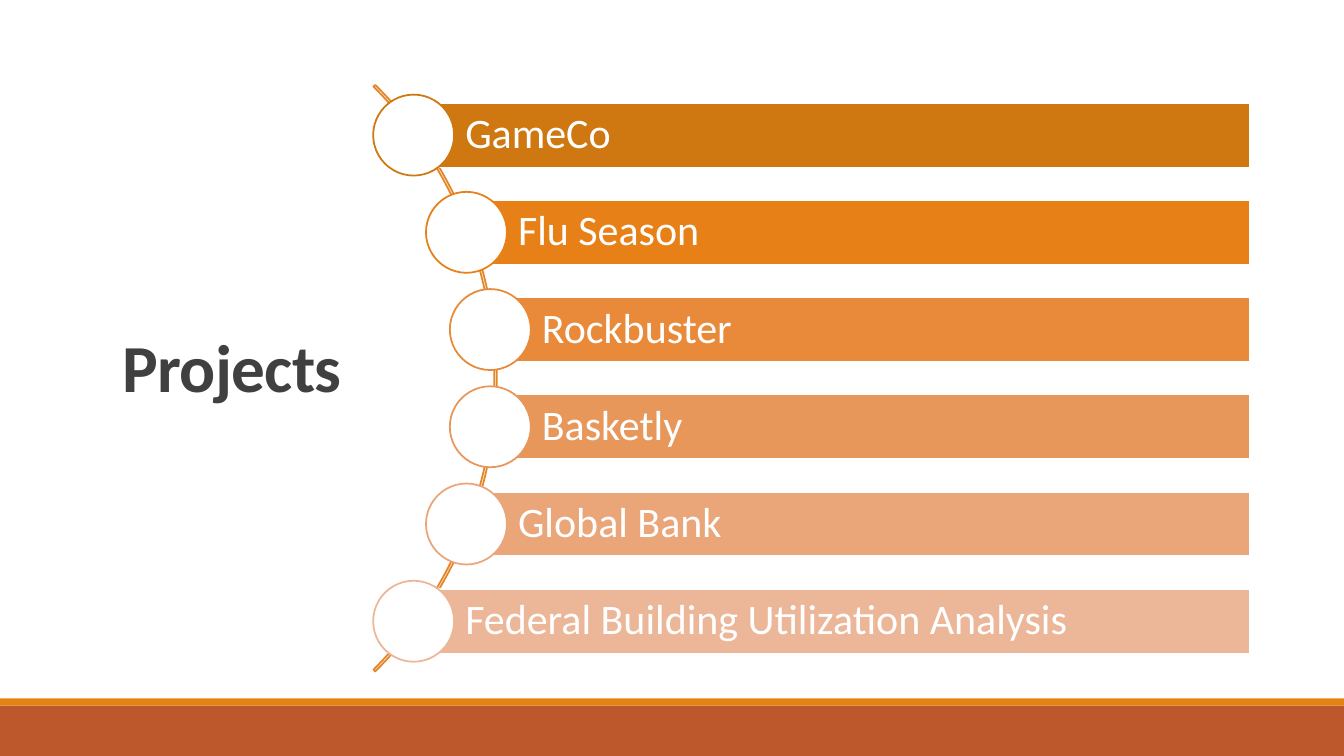
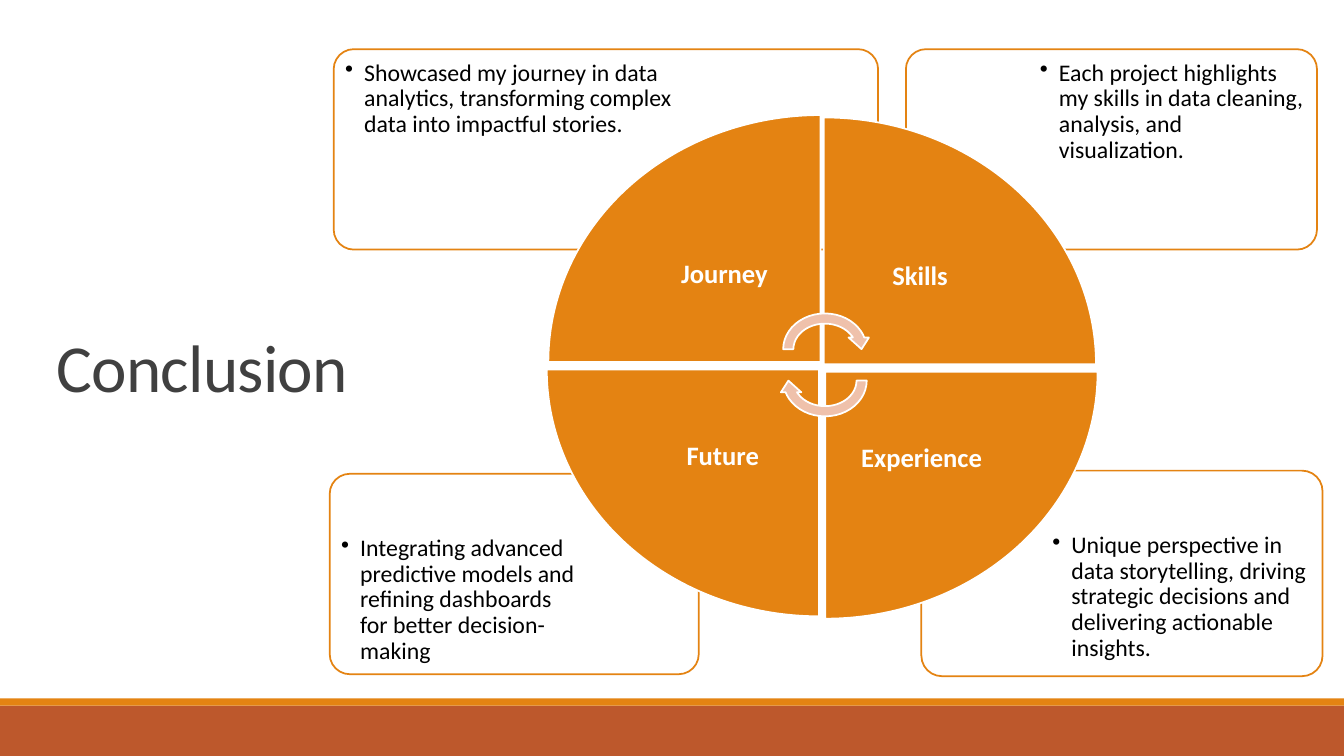
from math import sqrt

from lxml import etree
from pptx import Presentation
from pptx.dml.color import RGBColor
from pptx.enum.shapes import MSO_SHAPE
from pptx.enum.text import MSO_ANCHOR, PP_ALIGN
from pptx.oxml.ns import qn
from pptx.util import Cm, Pt

RECTANGLE = MSO_SHAPE.RECTANGLE
ROUNDED = MSO_SHAPE.ROUNDED_RECTANGLE
OVAL = MSO_SHAPE.OVAL
BLOCK_ARC = MSO_SHAPE.BLOCK_ARC
WEDGE = MSO_SHAPE.PIE_WEDGE
CIRCULAR_ARROW = MSO_SHAPE.CIRCULAR_ARROW
TOP, MIDDLE, BOTTOM = MSO_ANCHOR.TOP, MSO_ANCHOR.MIDDLE, MSO_ANCHOR.BOTTOM
LEFT, CENTER = PP_ALIGN.LEFT, PP_ALIGN.CENTER

WHITE = RGBColor(0xFF, 0xFF, 0xFF)
BLACK = RGBColor(0x00, 0x00, 0x00)
CHARCOAL = RGBColor(0x40, 0x40, 0x40)
ORANGE = RGBColor(0xE4, 0x83, 0x12)
ARC_ORANGE = RGBColor(0xE4, 0x85, 0x26)
RUST = RGBColor(0xBD, 0x58, 0x2C)
PEACH = RGBColor(0xEF, 0xC1, 0xAB)

FONT = "Calibri"
SLIDE_WIDTH, SLIDE_HEIGHT = 33.87, 19.05

PROJECTS = [
    ("GameCo", RGBColor(0xCF, 0x77, 0x10)),
    ("Flu Season", RGBColor(0xE8, 0x80, 0x18)),
    ("Rockbuster", RGBColor(0xE8, 0x8A, 0x39)),
    ("Basketly", RGBColor(0xE8, 0x97, 0x5A)),
    ("Global Bank", RGBColor(0xEA, 0xA5, 0x79)),
    ("Federal Building Utilization Analysis", RGBColor(0xEC, 0xB6, 0x98)),
]

CARD_EDGE = 0.14
CARD_LOW = 1.42
CARDS = [
    ((23.22, 11.86, 10.11, 5.18), (3.15, CARD_LOW, CARD_EDGE),
     "Unique perspective in data storytelling, driving strategic decisions "
     "and delivering actionable insights."),
    ((8.31, 11.94, 9.3, 5.05), (CARD_EDGE, CARD_LOW, 2.92),
     "Integrating advanced predictive models and refining dashboards for "
     "better decision-making"),
    ((22.83, 1.24, 10.36, 5.05), (3.23, CARD_EDGE, CARD_EDGE),
     "Each project highlights my skills in data cleaning, analysis, and "
     "visualization."),
    ((8.41, 1.24, 13.72, 5.05), (CARD_EDGE, CARD_EDGE, 4.24),
     "Showcased my journey in data analytics, transforming complex data "
     "into impactful stories."),
]

WEDGE_WIDTH, WEDGE_HEIGHT = 6.86, 6.22
LABEL_WIDTH, LABEL_HEIGHT = 4.85, 4.39
QUARTERS = [
    ("Journey", 13.82, 2.9),
    ("Skills", 20.76, 2.96),
    ("Experience", 20.8, 9.37),
    ("Future", 13.78, 9.31),
]


class Deck:
    def __init__(self):
        self.presentation = Presentation()
        self.presentation.slide_width = Cm(SLIDE_WIDTH)
        self.presentation.slide_height = Cm(SLIDE_HEIGHT)
        self.slide = None

    def new_slide(self, title, title_left):
        layout = self.presentation.slide_layouts[6]
        self.slide = self.presentation.slides.add_slide(layout)
        self.shape(RECTANGLE, (0, 17.78, SLIDE_WIDTH, 1.27), RUST)
        self.shape(RECTANGLE, (0, 17.6, SLIDE_WIDTH, 0.18), ORANGE)
        return self.title(title, title_left)

    def title(self, text, left):
        heading = self.label((left, 7.24, 8.23, 3.12), text, 48, CHARCOAL,
                             anchor=BOTTOM, spacing=0.85)
        heading._p.pPr.find(qn("a:defRPr")).set("spc", "-50")
        return heading

    def shape(self, kind, box, fill=None, line=None, rotation=0):
        shape = self.slide.shapes.add_shape(kind, *map(Cm, box))
        shape.shadow.inherit = False
        shape.rotation = rotation
        if fill is None:
            shape.fill.background()
        else:
            shape.fill.solid()
            shape.fill.fore_color.rgb = fill
        if line is None:
            shape.line.fill.background()
        else:
            shape.line.color.rgb = line
            shape.line.width = Pt(1.25)
        return shape

    def set_text(self, shape, text, size, color,
                 margins=(0.25, 0.13, 0.25, 0.13), anchor=MIDDLE,
                 align=LEFT, spacing=0.9, bullet=False):
        frame = shape.text_frame
        frame.word_wrap = True
        frame.vertical_anchor = anchor
        (frame.margin_left, frame.margin_top,
         frame.margin_right, frame.margin_bottom) = map(Cm, margins)
        paragraph = frame.paragraphs[0]
        paragraph.text = text
        paragraph.alignment = align
        paragraph.line_spacing = spacing
        if bullet:
            properties = paragraph._p.get_or_add_pPr()
            properties.set("marL", str(Cm(0.48)))
            properties.set("indent", str(-Cm(0.48)))
            etree.SubElement(properties, qn("a:buChar")).set("char", "•")
        paragraph.font.name = FONT
        paragraph.font.size = Pt(size)
        paragraph.font.color.rgb = color
        return paragraph

    def label(self, box, text, size, color, **style):
        textbox = self.slide.shapes.add_textbox(*map(Cm, box))
        return self.set_text(textbox, text, size, color, **style)

    def arc(self, center_x, center_y, radius):
        box = (center_x - radius, center_y - radius, 2 * radius, 2 * radius)
        arc = self.shape(BLOCK_ARC, box, line=ARC_ORANGE)
        for index, value in enumerate((189, 27, 0.003)):
            arc.adjustments[index] = value

    def project(self, name, color, x, y):
        right, height, diameter = 31.5, 1.63, 2.04
        bar = self.shape(RECTANGLE, (x, y - height / 2, right - x, height),
                         color, WHITE)
        self.set_text(bar, name, 30, WHITE, margins=(1.3, 0.2, 0.2, 0.2))
        self.shape(OVAL, (x - diameter / 2, y - diameter / 2,
                          diameter, diameter), WHITE, color)

    def card(self, box, margins, text):
        card = self.shape(ROUNDED, box, WHITE, ORANGE)
        card.adjustments[0] = 0.1
        self.set_text(card, text, 17, BLACK, margins=(*margins, CARD_EDGE),
                      anchor=TOP, bullet=True)

    def quarter(self, name, left, top, turn):
        width, height = WEDGE_WIDTH, WEDGE_HEIGHT
        shift = 0
        if turn % 2:
            shift = (width - height) / 2
            width, height = height, width
        self.shape(WEDGE, (left + shift, top - shift, width, height),
                   ORANGE, WHITE, 90 * turn)
        label_left = left + (WEDGE_WIDTH - LABEL_WIDTH if turn in (0, 3) else 0)
        label_top = top + (WEDGE_HEIGHT - LABEL_HEIGHT if turn < 2 else 0)
        label = self.label((label_left, label_top, LABEL_WIDTH, LABEL_HEIGHT),
                           name, 19, WHITE, align=CENTER)
        label.font.bold = True


def build_projects(deck):
    deck.new_slide("Projects", 2.84).font.bold = True
    center_x, center_y, pitch, radius = 2.07, 9.53, 2.45, 10.36
    deck.arc(center_x, center_y, 10.45)
    for index, (name, color) in enumerate(PROJECTS):
        offset = (index - (len(PROJECTS) - 1) / 2) * pitch
        x = center_x + sqrt(radius ** 2 - offset ** 2)
        deck.project(name, color, x, center_y + offset)


def build_conclusion(deck):
    deck.new_slide("Conclusion", 1.17)
    for box, margins, text in CARDS:
        deck.card(box, margins, text)
    for turn, (name, left, top) in enumerate(QUARTERS):
        deck.quarter(name, left, top, turn)
    for top, rotation in ((7.77, 0), (8.56, 180)):
        deck.shape(CIRCULAR_ARROW, (19.61, top, 2.36, 2.06),
                   PEACH, WHITE, rotation)


def main():
    deck = Deck()
    build_projects(deck)
    build_conclusion(deck)
    deck.presentation.save("out.pptx")


if __name__ == "__main__":
    main()
